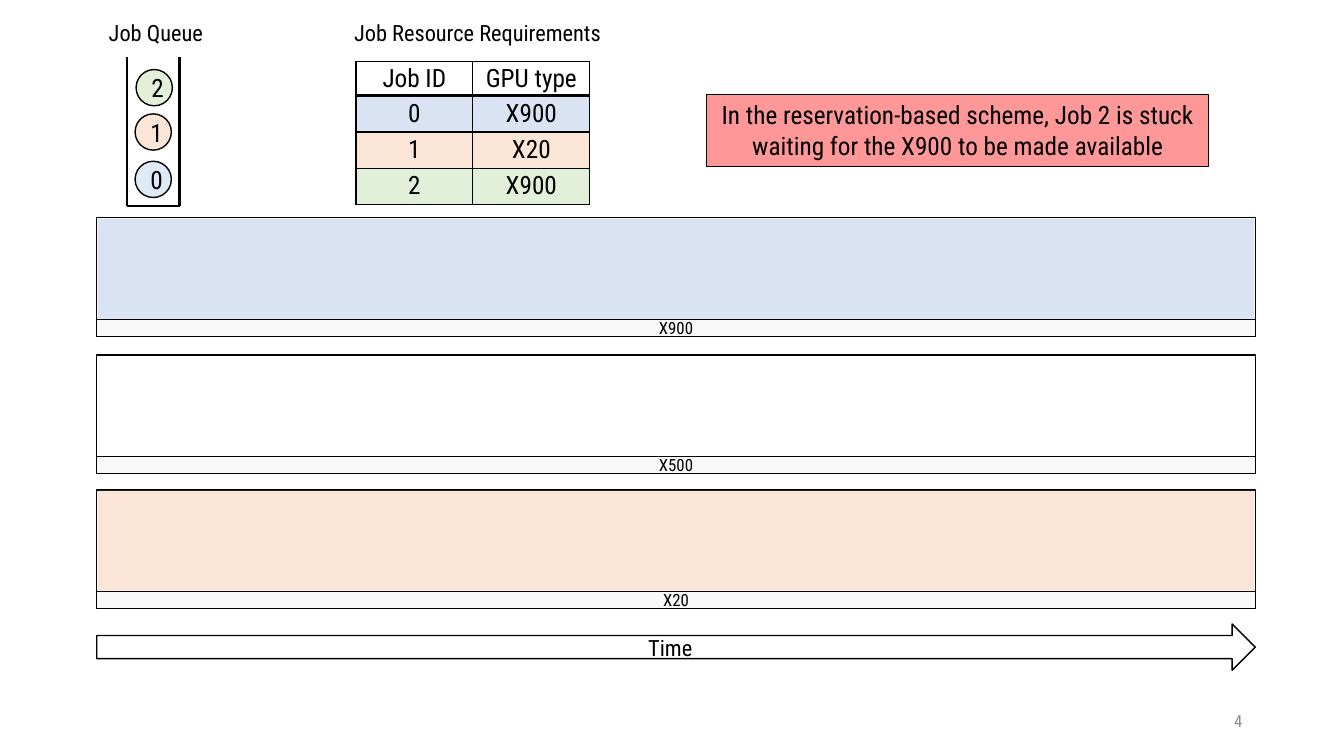
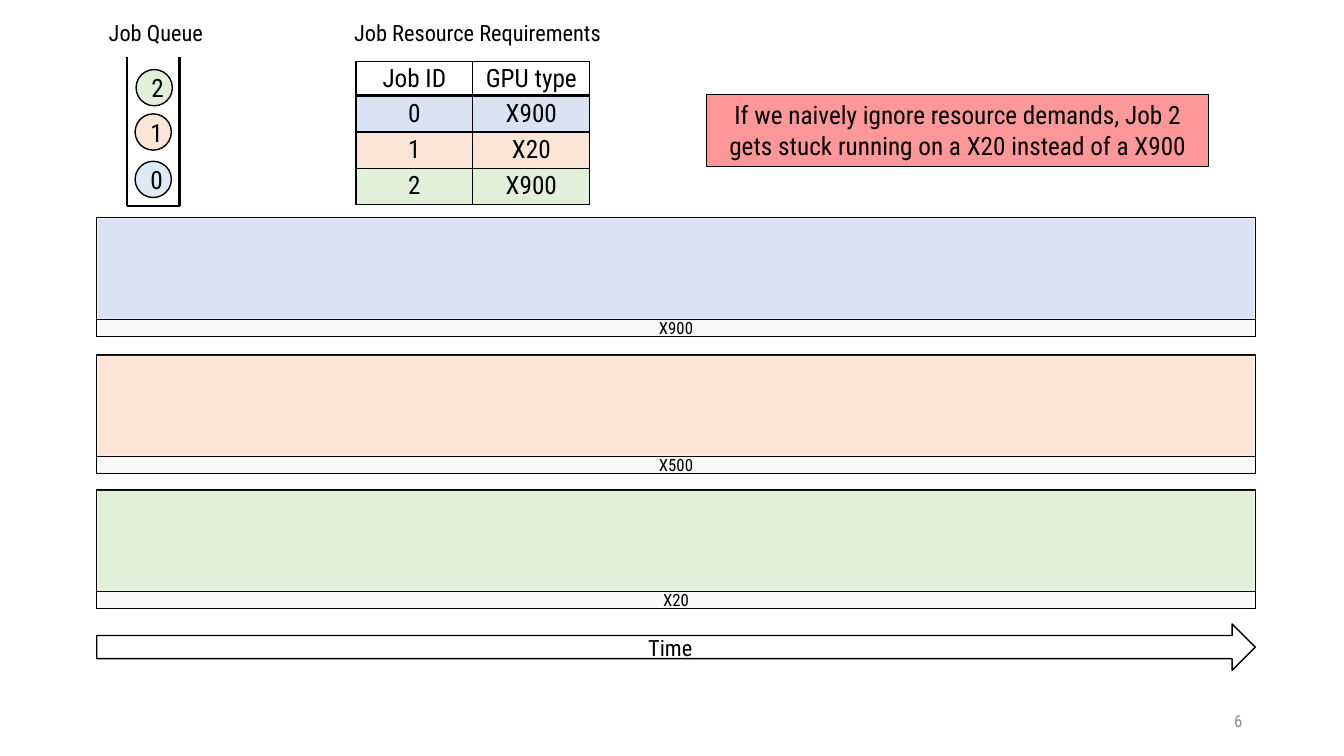
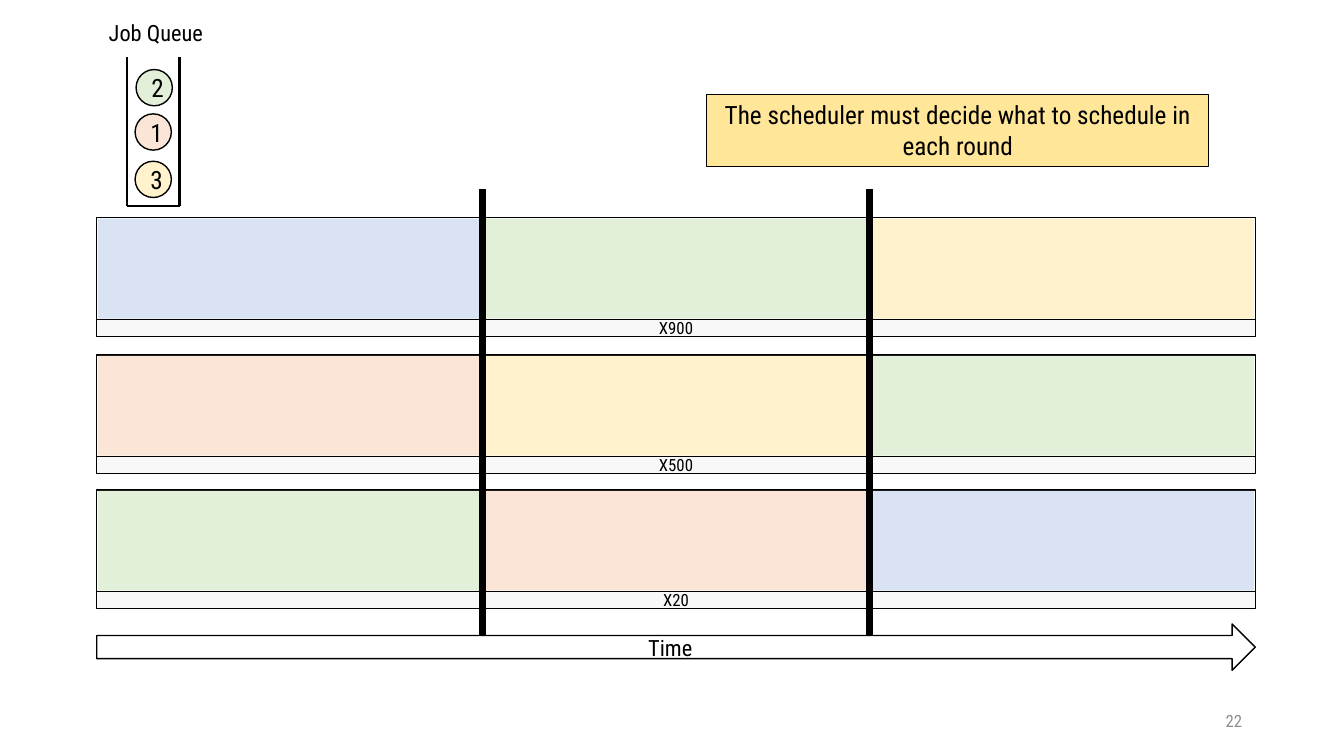
"""Build three slides on scheduling jobs over three kinds of GPU."""
from lxml.etree import SubElement
from pptx import Presentation
from pptx.dml.color import RGBColor
from pptx.enum.shapes import MSO_CONNECTOR, MSO_SHAPE
from pptx.enum.text import MSO_ANCHOR as ANCHOR, PP_ALIGN as ALIGN
from pptx.oxml.ns import qn
from pptx.util import Pt

FONT = "Roboto Condensed"
BLACK = RGBColor(0x00, 0x00, 0x00)
WHITE = RGBColor(0xFF, 0xFF, 0xFF)
GRAY = RGBColor(0x8C, 0x8C, 0x8C)
STRIP = RGBColor(0xF8, 0xF8, 0xF8)
BLUE = RGBColor(0xDA, 0xE3, 0xF3)
PALE_BLUE = RGBColor(0xDE, 0xEB, 0xF7)
PEACH = RGBColor(0xFB, 0xE5, 0xD6)
GREEN = RGBColor(0xE2, 0xF0, 0xD9)
YELLOW = RGBColor(0xFF, 0xF2, 0xCC)
RED = RGBColor(0xFE, 0x98, 0x98)
GOLD = RGBColor(0xFF, 0xE6, 0x99)

TRACKS = [("X900", 216), ("X500", 352), ("X20", 486)]
REQUIREMENTS = [
    ("Job ID", "GPU type", WHITE),
    ("0", "X900", BLUE),
    ("1", "X20", PEACH),
    ("2", "X900", GREEN),
]
FIRST_QUEUE = [("2", GREEN), ("1", PEACH), ("0", PALE_BLUE)]
SLIDES = [
    dict(number="4", queue=FIRST_QUEUE, table=True, callout_fill=RED,
         callout="In the reservation-based scheme, Job 2 is stuck waiting "
                 "for the X900 to be made available",
         rounds=[[BLUE], [], [PEACH]]),
    dict(number="6", queue=FIRST_QUEUE, table=True, callout_fill=RED,
         callout="If we naively ignore resource demands, Job 2 gets stuck "
                 "running on a X20 instead of a X900",
         rounds=[[BLUE], [PEACH], [GREEN]]),
    dict(number="22", queue=[("2", GREEN), ("1", PEACH), ("3", YELLOW)],
         table=False, callout_fill=GOLD,
         callout="The scheduler must decide what to schedule in each round",
         rounds=[[BLUE, GREEN, YELLOW],
                 [PEACH, YELLOW, GREEN],
                 [GREEN, PEACH, BLUE]]),
]

TRACK_LEFT, TRACK_WIDTH, TRACK_HEIGHT, STRIP_HEIGHT = 96, 1149, 101, 17
JOB_SIZE = 36
JOB_SPOTS = [(135, 69), (134, 113), (134, 160)]
QUEUE_WALLS = [(178, 57, 178, 204), (126, 57, 126, 204), (179, 204, 126, 204)]
ROW_HEIGHTS = [34, 36, 36, 36]
COLUMN_WIDTH = 116


def px(length):
    """Turn a length in px, 100 to the inch, into EMU."""
    return round(length * 9144)


def write(frame, text, size, align=ALIGN.CENTER, color=BLACK):
    """Put one run of text in a frame."""
    paragraph = frame.paragraphs[0]
    paragraph.alignment = align
    run = paragraph.add_run()
    run.text = text
    run.font.name, run.font.size = FONT, Pt(size)
    run.font.color.rgb = color


def label(slide, box, text, size, anchor=ANCHOR.TOP, **style):
    """Add a plain text box."""
    frame = slide.shapes.add_textbox(*map(px, box)).text_frame
    frame.word_wrap = True
    frame.vertical_anchor = anchor
    write(frame, text, size, **style)


def block(slide, box, fill, text="", size=18, line=1, kind=MSO_SHAPE.RECTANGLE,
          anchor=ANCHOR.MIDDLE):
    """Add a filled shape, outlined when line is not zero."""
    shape = slide.shapes.add_shape(kind, *map(px, box))
    shape.shadow.inherit = False
    shape.fill.solid()
    shape.fill.fore_color.rgb = fill
    if line:
        shape.line.color.rgb = BLACK
        shape.line.width = Pt(line)
    else:
        shape.line.fill.background()
    if text:
        shape.text_frame.word_wrap = True
        shape.text_frame.vertical_anchor = anchor
        write(shape.text_frame, text, size)


def rule(slide, ends, width):
    """Add a straight black line."""
    connector = slide.shapes.add_connector(MSO_CONNECTOR.STRAIGHT, *map(px, ends))
    connector.line.color.rgb = BLACK
    connector.line.width = Pt(width)
    SubElement(connector._element.spPr, qn("a:effectLst"))


def border(cell, widths):
    """Draw the left, right, top and bottom borders of a cell."""
    properties = cell._tc.get_or_add_tcPr()
    for position, (side, width) in enumerate(zip("LRTB", widths)):
        line = properties.makeelement(qn(f"a:ln{side}"), {"w": str(Pt(width))})
        fill = SubElement(line, qn("a:solidFill"))
        SubElement(fill, qn("a:srgbClr"), val=str(BLACK))
        properties.insert(position, line)


def requirements_table(slide):
    """Add the table of the GPU type that each job needs."""
    box = (353, 61, 2 * COLUMN_WIDTH, sum(ROW_HEIGHTS))
    table = slide.shapes.add_table(len(REQUIREMENTS), 2, *map(px, box)).table
    table.first_row = table.horz_banding = False
    for column in table.columns:
        column.width = px(COLUMN_WIDTH)
    for r, (job, gpu, fill) in enumerate(REQUIREMENTS):
        table.rows[r].height = px(ROW_HEIGHTS[r])
        for c, text in enumerate((job, gpu)):
            cell = table.cell(r, c)
            cell.margin_left = cell.margin_right = 0
            cell.margin_top = cell.margin_bottom = 0
            cell.vertical_anchor = ANCHOR.MIDDLE
            cell.fill.solid()
            cell.fill.fore_color.rgb = fill
            border(cell, (1, 1, 2.25 if r == 1 else 1, 2.25 if r == 0 else 1))
            write(cell.text_frame, text, 18)


def timeline(slide, rounds):
    """Add the GPU tracks, the jobs run on them and the time arrow."""
    for (gpu, top), jobs in zip(TRACKS, rounds):
        block(slide, (TRACK_LEFT, top, TRACK_WIDTH, TRACK_HEIGHT), WHITE)
        block(slide, (TRACK_LEFT, top + TRACK_HEIGHT, TRACK_WIDTH, STRIP_HEIGHT),
              STRIP, gpu, 12)
        for i, fill in enumerate(jobs):
            width = (TRACK_WIDTH - 2) / len(jobs)
            block(slide, (TRACK_LEFT + 1 + i * width, top + 1, width,
                          TRACK_HEIGHT - 2), fill, line=0)
    block(slide, (TRACK_LEFT, 619, TRACK_WIDTH, 46), WHITE, "Time", 16,
          kind=MSO_SHAPE.RIGHT_ARROW)
    count = len(rounds[0])
    for i in range(1, count):
        x = TRACK_LEFT + i * TRACK_WIDTH / count
        rule(slide, (x, 188, x, 630), 5)


def job_queue(slide, jobs):
    """Add the queue with its waiting jobs."""
    label(slide, (95, 14, 119, 37), "Job Queue", 16)
    for wall in QUEUE_WALLS:
        rule(slide, wall, 1.5)
    for (left, top), (job, fill) in zip(JOB_SPOTS, jobs):
        block(slide, (left, top, JOB_SIZE, JOB_SIZE), fill, job,
              kind=MSO_SHAPE.OVAL)


def main():
    deck = Presentation()
    deck.slide_width, deck.slide_height = px(1333), px(750)
    for content in SLIDES:
        slide = deck.slides.add_slide(deck.slide_layouts[6])
        label(slide, (942, 695, 300, 40), content["number"], 12,
              anchor=ANCHOR.MIDDLE, align=ALIGN.RIGHT, color=GRAY)
        timeline(slide, content["rounds"])
        job_queue(slide, content["queue"])
        if content["table"]:
            label(slide, (299, 14, 349, 37), "Job Resource Requirements", 16)
            requirements_table(slide)
        block(slide, (701, 94, 498, 71), content["callout_fill"],
              content["callout"], line=0.75, anchor=ANCHOR.TOP)
    deck.save("out.pptx")


if __name__ == "__main__":
    main()
